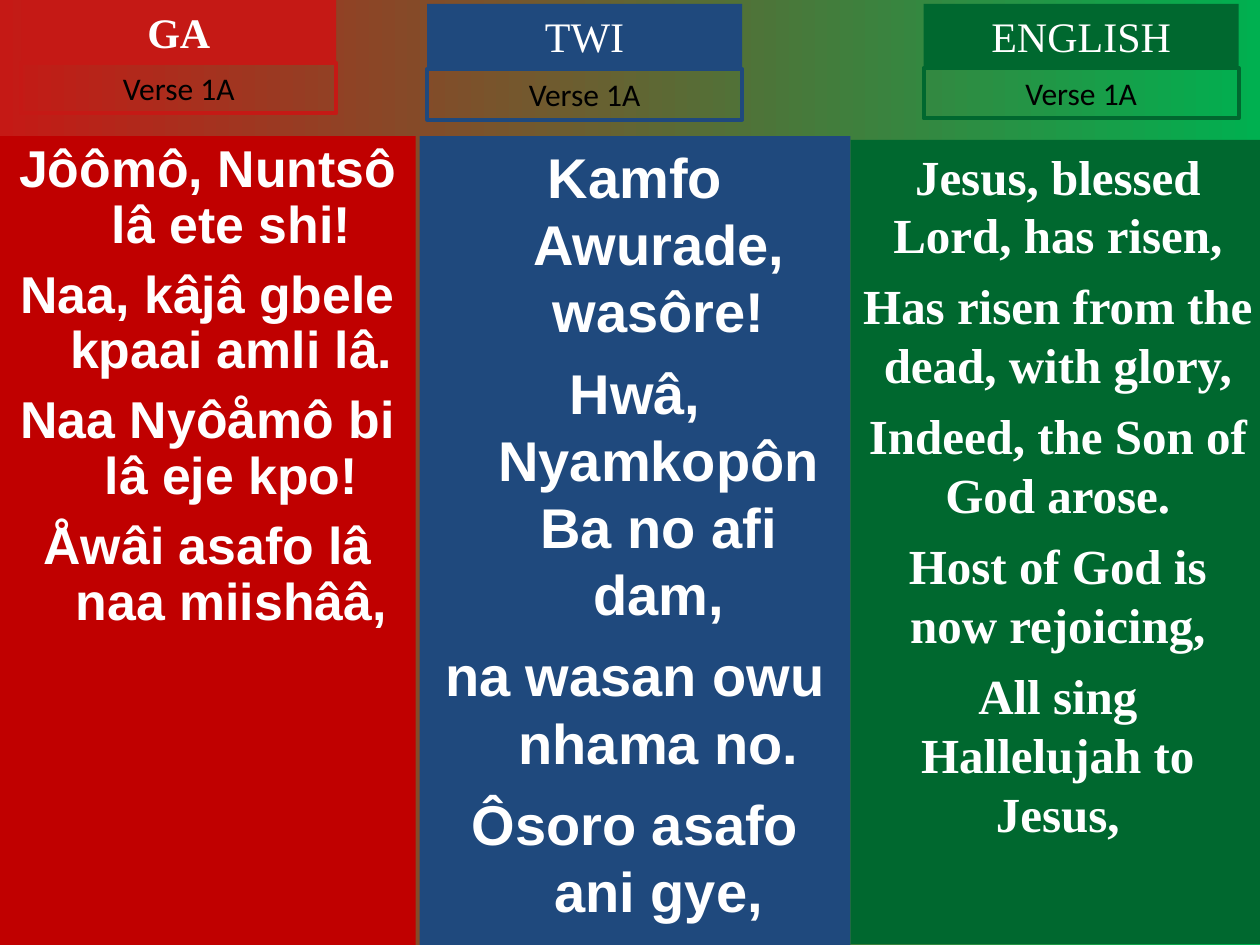
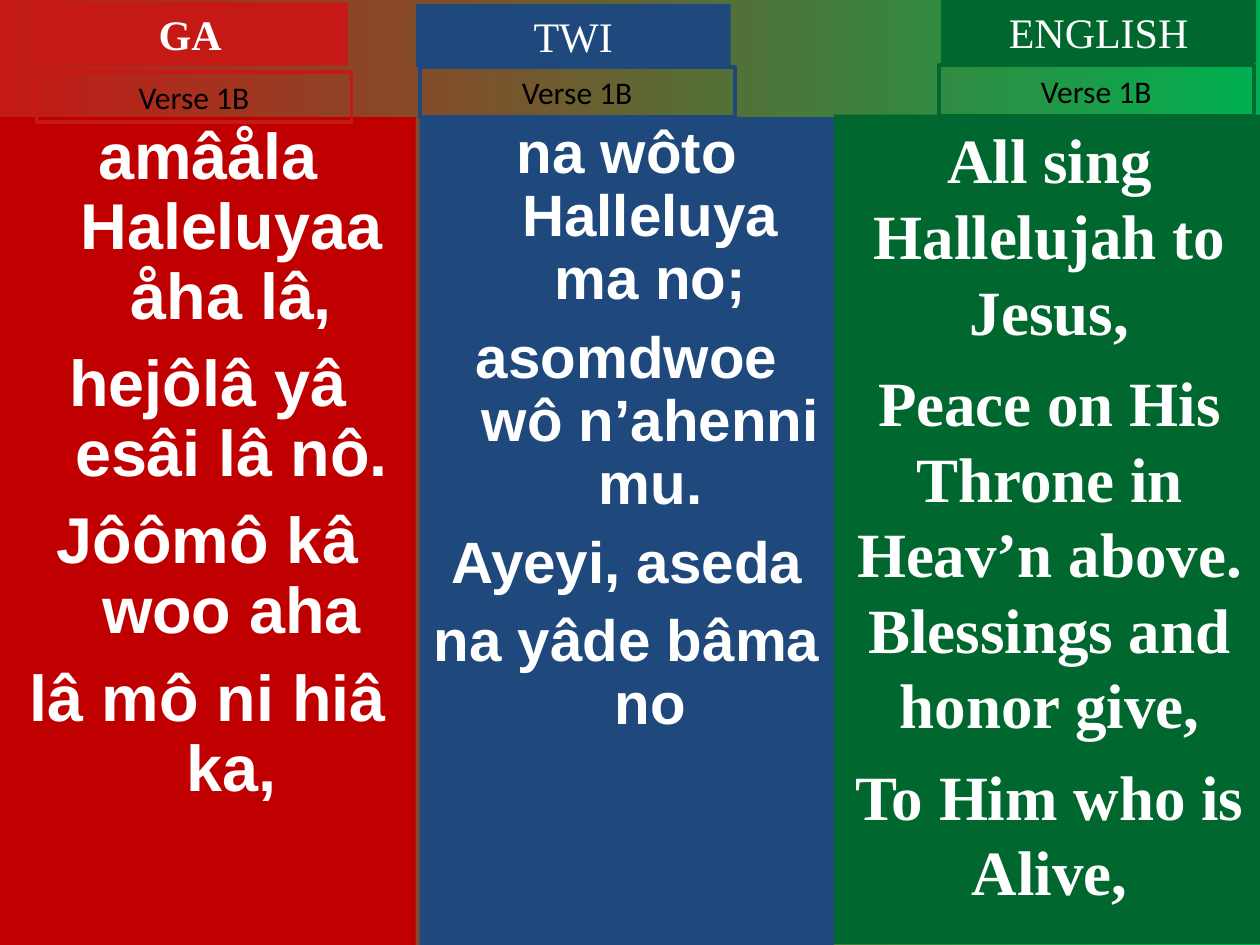
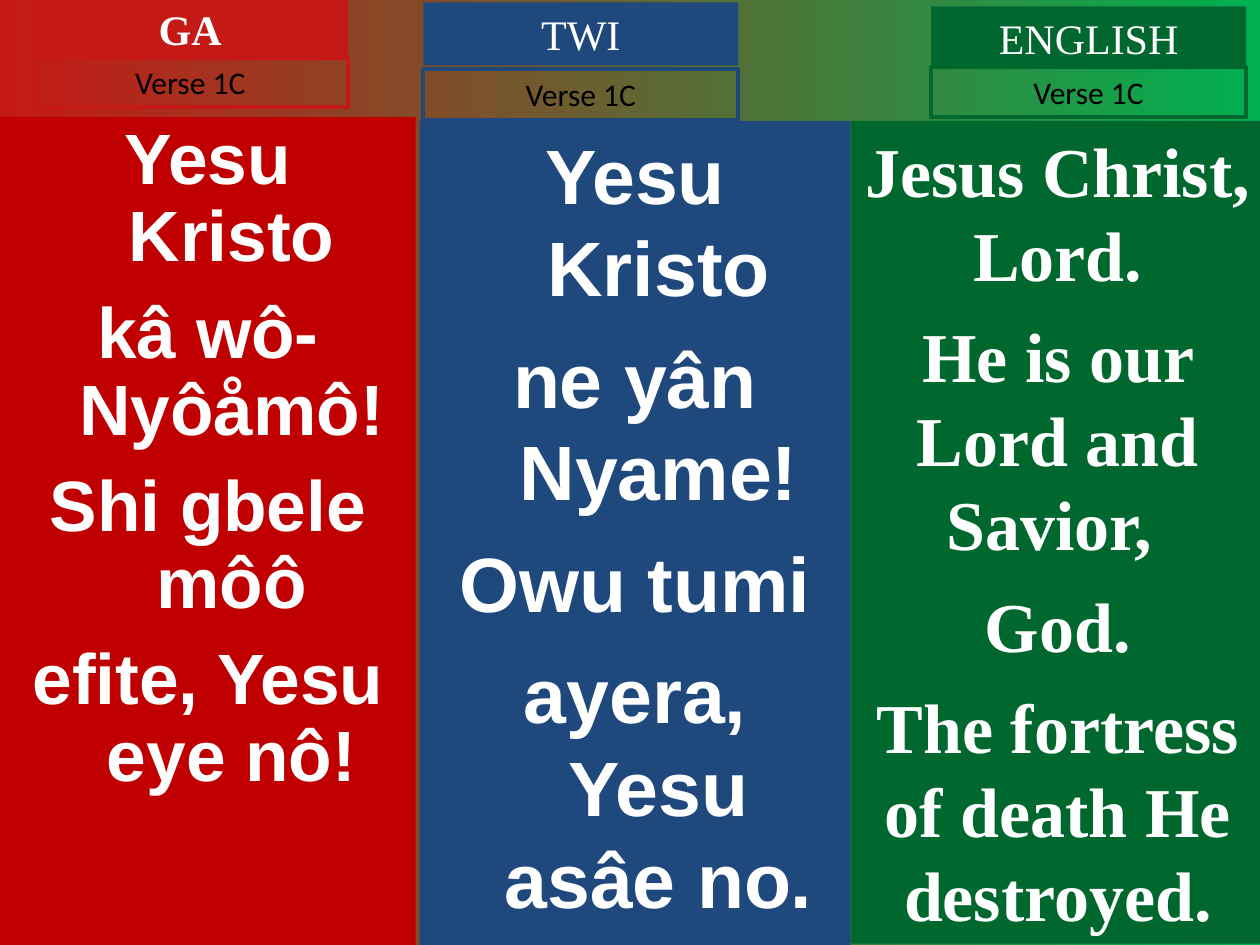
from dataclasses import dataclass
from typing import NamedTuple

from pptx import Presentation
from pptx.dml.color import RGBColor
from pptx.enum.shapes import MSO_SHAPE
from pptx.enum.text import MSO_ANCHOR, MSO_AUTO_SIZE, PP_ALIGN
from pptx.shapes.autoshape import Shape
from pptx.slide import Slide, SlideMaster
from pptx.text.text import _Paragraph
from pptx.util import Pt


@dataclass(frozen=True)
class Theme:
    background: tuple[str, str] = ("C51915", "00B050")
    white: str = "FFFFFF"
    black: str = "000000"
    head_font: str = "Times New Roman"
    label_font: str = "Calibri"
    head_size: float = 24
    label_size: float = 18
    label_line: float = 2.25
    hanging: float = 27


THEME = Theme()
HEAD_W, HEAD_H, LABEL_H = 180, 36, 28.8


class Box(NamedTuple):
    left: float
    top: float
    width: float
    height: float


class TextStyle(NamedTuple):
    font: str
    size: float
    color: str
    bold: bool = False


@dataclass(frozen=True)
class Language:
    name: str
    accent: str
    panel: str
    font: str
    left: float
    right: float
    bottom: float
    hanging: bool = True
    bold_head: bool = False


@dataclass(frozen=True)
class Column:
    """One language's part of a verse; left and right override the usual panel edges."""
    language: Language
    head: tuple[float, float]
    label: tuple[float, float]
    top: float
    size: float
    gap: float
    lines: tuple[str, ...]
    spacing: float | None = None
    left: float | None = None
    right: float | None = None


GA = Language("GA", "C51915", "C00000", "Arial", 0, 237.6, 540, bold_head=True)
TWI = Language("TWI", "1F497D", "1F497D", "Arial", 239.8, 486, 540)
ENGLISH = Language("ENGLISH", "00682F", "00682F", "Times New Roman", 486, 722.9, 539.3,
                   hanging=False)

VERSES: dict[str, tuple[Column, ...]] = {
    "Verse 1A": (
        Column(GA, (12.2, 0), (12.2, 36), 77.8, 29.6, 8, (
            "Jôômô, Nuntsô lâ ete shi!",
            "Naa, kâjâ gbele kpaai amli lâ.",
            "Naa Nyôåmô bi lâ eje kpo!",
            "Åwâi asafo lâ naa miishââ,"), spacing=0.9),
        Column(TWI, (244.1, 2.2), (244.1, 39.6), 77.8, 32, 8, (
            "Kamfo Awurade, wasôre!",
            "Hwâ, Nyamkopôn Ba no afi dam,",
            "na wasan owu nhama no.",
            "Ôsoro asafo ani gye,")),
        Column(ENGLISH, (527.8, 2.2), (527.8, 38.9), 79.9, 28, 7, (
            "Jesus, blessed Lord, has risen,",
            "Has risen from the dead, with glory,",
            "Indeed, the Son of God arose.",
            "Host of God is now rejoicing,",
            "All sing Hallelujah to Jesus,")),
    ),
    "Verse 1B": (
        Column(GA, (18.7, 1.4), (20.9, 41), 67, 37, 10, (
            "amâåla Haleluyaa åha lâ,",
            "hejôlâ yâ esâi lâ nô.",
            "Jôômô kâ woo aha",
            "lâ mô ni hiâ ka,"), spacing=0.9),
        Column(TWI, (237.6, 2.2), (239.8, 38.2), 67, 33.3, 9, (
            "na wôto Halleluya ma no;",
            "asomdwoe wô n’ahenni mu.",
            "Ayeyi, aseda",
            "na yâde bâma no"), spacing=0.9, right=476.6),
        Column(ENGLISH, (537.8, 0), (536.4, 37.4), 65.5, 36, 9, (
            "All sing Hallelujah to Jesus,",
            "Peace on His Throne in Heav’n above. Blessings and honor give,",
            "To Him who is Alive,"), left=476.6),
    ),
    "Verse 1C": (
        Column(GA, (18.7, -1.4), (18.7, 32.4), 67, 40.7, 11, (
            "Yesu Kristo",
            "kâ wô-Nyôåmô!",
            "Shi gbele môô",
            "efite, Yesu eye nô!"), spacing=0.9),
        Column(TWI, (241.9, 1.4), (241.9, 39.6), 69.1, 44, 11, (
            "Yesu Kristo",
            "ne yân Nyame!",
            "Owu tumi",
            "ayera, Yesu asâe no.")),
        Column(ENGLISH, (532.1, 3.6), (532.1, 38.2), 69.1, 40, 10, (
            "Jesus Christ, Lord.",
            "He is our Lord and Savior, ",
            "God.",
            "The fortress of death He destroyed.")),
    ),
}


def rgb(value: str) -> RGBColor:
    return RGBColor.from_string(value)


def add_box(s: Slide, box: Box, fill: str | None = None, line: str | None = None) -> Shape:
    sp = s.shapes.add_shape(MSO_SHAPE.RECTANGLE, *map(Pt, box))
    sp.shadow.inherit = False
    if fill:
        sp.fill.solid()
        sp.fill.fore_color.rgb = rgb(fill)
    else:
        sp.fill.background()
    if line:
        sp.line.color.rgb = rgb(line)
        sp.line.width = Pt(THEME.label_line)
    else:
        sp.line.fill.background()
    frame_format = {"word_wrap": True, "vertical_anchor": MSO_ANCHOR.TOP}
    for name, value in frame_format.items():
        setattr(sp.text_frame, name, value)
    return sp


def write(p: _Paragraph, text: str, style: TextStyle) -> None:
    p.alignment = PP_ALIGN.CENTER
    r = p.add_run()
    r.text = text
    font_format = {"name": style.font, "size": Pt(style.size), "bold": style.bold}
    for name, value in font_format.items():
        setattr(r.font, name, value)
    r.font.color.rgb = rgb(style.color)


def add_caption(s: Slide, box: Box, text: str, style: TextStyle,
                fill: str | None = None, line: str | None = None) -> None:
    tf = add_box(s, box, fill, line).text_frame
    tf.auto_size = MSO_AUTO_SIZE.SHAPE_TO_FIT_TEXT
    write(tf.paragraphs[0], text, style)


def hang(p: _Paragraph) -> None:
    """Indent every line of the paragraph but the first."""
    pPr = p._p.get_or_add_pPr()
    pPr.set("marL", str(Pt(THEME.hanging)))
    pPr.set("indent", str(-Pt(THEME.hanging)))


def add_lyrics(s: Slide, column: Column) -> None:
    lang = column.language
    left = lang.left if column.left is None else column.left
    right = lang.right if column.right is None else column.right
    box = Box(left, column.top, right - left, lang.bottom - column.top)
    tf = add_box(s, box, fill=lang.panel).text_frame
    style = TextStyle(lang.font, column.size, THEME.white, bold=True)
    for i, text in enumerate(column.lines):
        p = tf.add_paragraph() if i else tf.paragraphs[0]
        if lang.hanging:
            hang(p)
        if i:
            p.space_before = Pt(column.gap)
        p.line_spacing = column.spacing
        write(p, text, style)


def add_column(s: Slide, column: Column, verse: str) -> None:
    lang = column.language
    add_lyrics(s, column)
    add_caption(s, Box(*column.head, HEAD_W, HEAD_H), lang.name,
                TextStyle(THEME.head_font, THEME.head_size, THEME.white, lang.bold_head),
                fill=lang.accent)
    add_caption(s, Box(*column.label, HEAD_W, LABEL_H), verse,
                TextStyle(THEME.label_font, THEME.label_size, THEME.black),
                line=lang.accent)


def paint_background(master: SlideMaster) -> None:
    fill = master.background.fill
    fill.gradient()
    fill.gradient_angle = 0
    for stop, position, color in zip(fill.gradient_stops, (0, 1), THEME.background):
        stop.position = position
        stop.color.rgb = rgb(color)


def main() -> None:
    prs = Presentation()
    prs.slide_width, prs.slide_height = Pt(720), Pt(540)
    paint_background(prs.slide_master)
    for verse, columns in VERSES.items():
        s = prs.slides.add_slide(prs.slide_layouts[6])
        for column in columns:
            add_column(s, column, verse)
    prs.save("out.pptx")


if __name__ == "__main__":
    main()
